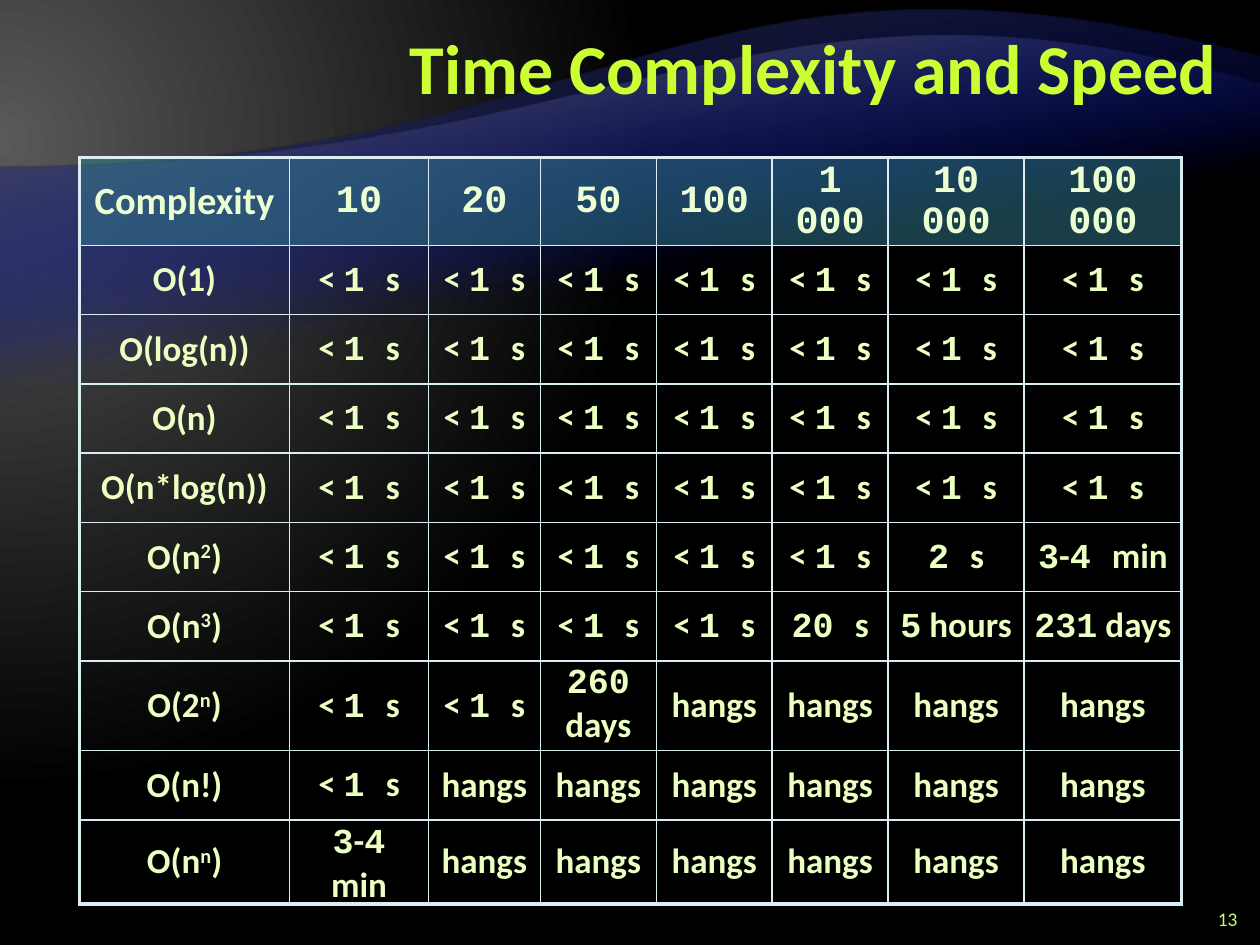
import lxml.etree
import pptx
import pptx.dml.color
import pptx.enum.text
import pptx.oxml.ns
import pptx.util

Inches, Pt = pptx.util.Inches, pptx.util.Pt
RGBColor = pptx.dml.color.RGBColor
ALIGN = pptx.enum.text.PP_ALIGN
MIDDLE = pptx.enum.text.MSO_ANCHOR.MIDDLE
qn = pptx.oxml.ns.qn

TITLE_LIME = RGBColor(0xCC, 0xFF, 0x33)
NUMBER_LIME = RGBColor(0xCC, 0xFF, 0x66)
HEADER_TEXT = RGBColor(0xEB, 0xFF, 0xD2)
BODY_TEXT = RGBColor(0xEB, 0xFF, 0xC2)
HEADER_FILL = RGBColor(0x33, 0x7D, 0x8F)
BORDER = RGBColor(0xDA, 0xED, 0xF2)
WAVE_BLUE = RGBColor(0x00, 0x0D, 0x9E)
DARK_GREY = RGBColor(0x26, 0x26, 0x26)
GREY = RGBColor(0x59, 0x59, 0x59)
BLACK = RGBColor(0, 0, 0)

SANS, MONO = "Calibri", "Courier New"
COLUMN_WIDTHS = [1.67, 1.1, 0.89, 0.92, 0.92, 0.92, 1.08, 1.25]
ROW_HEIGHTS = [0.55] * 7 + [0.71] + [0.55] * 2

# Every second part between bars is monospaced, or raised in the first column.
FAST, HANGS, MINUTES = "< |1 |s", "hangs", "|3|-|4 |min"
ROWS = [
    ["Complexity", "|10", "|20", "|50", "|100", "|1 000", "|10 000", "|100 000"],
    ["O(1)"] + [FAST] * 7,
    ["O(log(n))"] + [FAST] * 7,
    ["O(n)"] + [FAST] * 7,
    ["O(n*log(n))"] + [FAST] * 7,
    ["O(n|2|)"] + [FAST] * 5 + ["|2 |s", MINUTES],
    ["O(n|3|)"] + [FAST] * 4 + ["|20 |s", "|5| hours", "|231| days"],
    ["O(2|n|)"] + [FAST] * 2 + ["|260 |days"] + [HANGS] * 4,
    ["O(n!)", FAST] + [HANGS] * 6,
    ["O(n|n|)", MINUTES] + [HANGS] * 6,
]


def set_all(target, values):
    for name, value in values.items():
        setattr(target, name, value)


def add_span(para, text, color, **font_values):
    span = para.add_run()
    span.text = text
    set_all(span.font, font_values)
    span.font.color.rgb = color
    return span


def set_alpha(color_parent, percent):
    color = color_parent.find(".//" + qn("a:srgbClr"))
    lxml.etree.SubElement(color, qn("a:alpha"), val=str(percent * 1000))


def set_gradient(fill, stops):
    fill.gradient()
    for stop, (position, color) in zip(fill.gradient_stops, stops):
        set_all(stop, {"position": position})
        stop.color.rgb = color


def paint_background(page):
    fill = page.background.fill
    set_gradient(fill, [(0, GREY), (0.83, BLACK)])
    linear = page.element.find(".//" + qn("a:lin"))
    circle = linear.getparent().makeelement(qn("a:path"), {"path": "circle"})
    lxml.etree.SubElement(circle, qn("a:fillToRect"),
                          l="20000", t="30000", r="135000", b="100000")
    linear.getparent().replace(linear, circle)


def add_wave(page, top, height, left_edge, controls, edge_color):
    """Draw a wave upside down and turn it, so its gradient fades downwards."""
    def turned(x, y):
        return Inches(10 - x), Inches(height + top - y)

    end = turned(10, top)
    builder = page.shapes.build_freeform(0, 0)
    builder.add_line_segments(
        [turned(0, top + height), turned(0, left_edge), end])
    wave = builder.convert_to_shape(0, Inches(top))
    wave.rotation = 180
    wave.shadow.inherit = False
    wave.line.fill.background()

    line = wave.element.findall(".//" + qn("a:lnTo"))[2]
    curve = line.getparent().makeelement(qn("a:cubicBezTo"), {})
    for x, y in [turned(*control) for control in controls] + [end]:
        lxml.etree.SubElement(curve, qn("a:pt"), x=str(x), y=str(y))
    line.getparent().replace(line, curve)

    set_gradient(wave.fill, [(0.65, WAVE_BLUE), (1, edge_color)])
    wave.fill.gradient_angle = 280
    set_alpha(wave.element.find(".//" + qn("a:gs")), 0)


def add_label(page, place, text, color, line_spacing=None, **font_values):
    box = page.shapes.add_textbox(*map(Inches, place))
    set_all(box.text_frame, {"word_wrap": True, "vertical_anchor": MIDDLE})
    para = box.text_frame.paragraphs[0]
    set_all(para, {"alignment": ALIGN.RIGHT, "line_spacing": line_spacing})
    add_span(para, text, color, name=SANS, **font_values)


def set_borders(cell, widths):
    properties = cell._tc.get_or_add_tcPr()
    for index, (side, width) in enumerate(widths.items()):
        line = properties.makeelement(qn("a:ln" + side), {"w": str(Pt(width))})
        fill = lxml.etree.SubElement(line, qn("a:solidFill"))
        lxml.etree.SubElement(fill, qn("a:srgbClr"), val=str(BORDER))
        properties.insert(index, line)


def fill_cell(cell, text, is_header, is_label):
    set_all(cell, {"vertical_anchor": MIDDLE,
                   "margin_left": Inches(0.07), "margin_right": Inches(0.07),
                   "margin_top": 0, "margin_bottom": 0})
    para = cell.text_frame.paragraphs[0]
    para.alignment = ALIGN.CENTER
    if is_header:
        para.line_spacing = 0.95
        before = lxml.etree.SubElement(para._p.get_or_add_pPr(), qn("a:spcBef"))
        lxml.etree.SubElement(before, qn("a:spcPct"), val="40000")
        cell.fill.solid()
        cell.fill.fore_color.rgb = HEADER_FILL
        set_alpha(cell._tc.tcPr, 50)
    else:
        set_all(para, {"space_before": Pt(3), "space_after": Pt(3)})
        cell.fill.background()

    color, size = (HEADER_TEXT, 22) if is_header else (BODY_TEXT, 20)
    for index, part in enumerate(text.split("|")):
        if not part:
            continue
        special = index % 2 == 1
        span = add_span(para, part, color, size=Pt(size), bold=True,
                        name=MONO if special and not is_label else SANS)
        if special and is_label:
            span.font._element.set("baseline", "30000")


def add_speed_table(page):
    last_row, last_column = len(ROWS) - 1, len(COLUMN_WIDTHS) - 1
    frame = page.shapes.add_table(
        len(ROWS), len(COLUMN_WIDTHS), Inches(0.63), Inches(1.25),
        Inches(sum(COLUMN_WIDTHS)), Inches(sum(ROW_HEIGHTS)))
    table = frame.table
    set_all(table, {"first_row": False, "horz_banding": False})
    for column, width in zip(table.columns, COLUMN_WIDTHS):
        column.width = Inches(width)
    for r, (height, texts) in enumerate(zip(ROW_HEIGHTS, ROWS)):
        table.rows[r].height = Inches(height)
        for c, text in enumerate(texts):
            cell = table.cell(r, c)
            fill_cell(cell, text, is_header=r == 0, is_label=c == 0)
            outer = {"L": c == 0, "R": c == last_column,
                     "T": r == 0, "B": r == last_row}
            set_borders(cell, {side: 2.25 if edge else 1
                               for side, edge in outer.items()})


def main():
    deck = pptx.Presentation()
    set_all(deck, {"slide_width": Inches(10), "slide_height": Inches(7.5)})
    page = deck.slides.add_slide(deck.slide_layouts[6])
    paint_background(page)
    add_wave(page, 0.45, 6.08, 1.33, [(5, 1.33), (5.34, -0.75)], DARK_GREY)
    add_wave(page, 0.67, 4.9, 1.33, [(5, 1.33), (5.98, -0.49)], GREY)
    add_label(page, (2, 0.08, 7.75, 1), "Time Complexity and Speed", TITLE_LIME,
              line_spacing=Pt(40), size=Pt(40), bold=True)
    add_label(page, (9.42, 7.17, 0.5, 0.25), "13", NUMBER_LIME, size=Pt(11))
    add_speed_table(page)
    deck.save("out.pptx")


if __name__ == "__main__":
    main()
